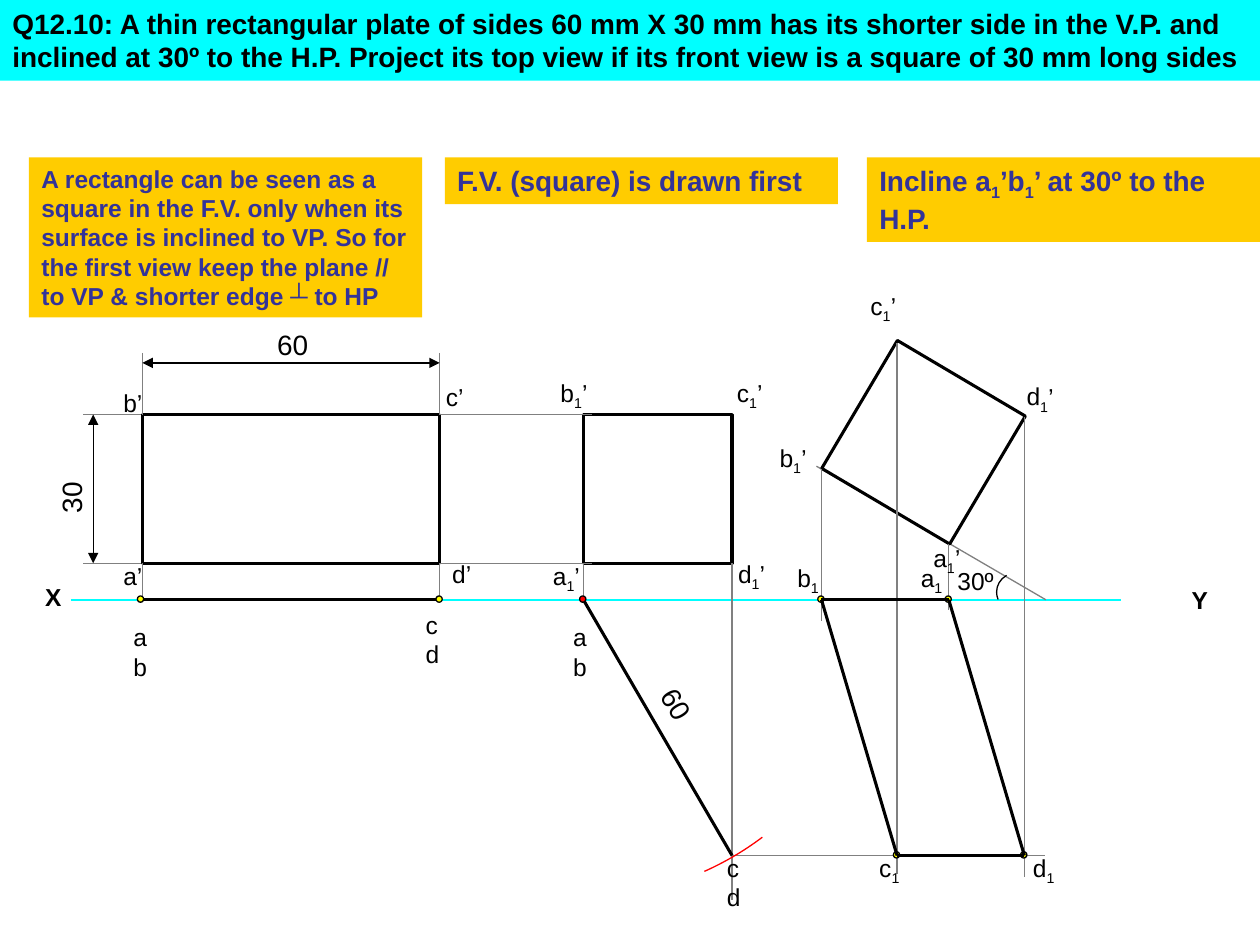
"""Draw the projection problem of a thin rectangular plate on one slide."""
from lxml.etree import SubElement as Sub
from pptx import Presentation
from pptx.dml.color import RGBColor
from pptx.enum.shapes import MSO_CONNECTOR as Link, MSO_SHAPE as Form
from pptx.enum.text import MSO_ANCHOR as Anchor, MSO_AUTO_SIZE as Auto
from pptx.enum.text import PP_ALIGN as Align
from pptx.oxml.ns import qn
from pptx.util import Inches, Pt

BLACK = RGBColor(0, 0, 0)
GREY = RGBColor(0x80, 0x80, 0x80)
CYAN = RGBColor(0, 0xFF, 0xFF)
GOLD = RGBColor(0xFF, 0xCC, 0)
NAVY = RGBColor(0x33, 0x33, 0x99)
YELLOW = RGBColor(0xFF, 0xFF, 0)
RED = RGBColor(0xFF, 0, 0)
THIN, MID, THICK = 0.75, 1, 1.75
FRAME = {
    "word_wrap": True, "auto_size": Auto.NONE, "vertical_anchor": Anchor.TOP,
    "margin_left": Inches(0.1), "margin_right": Inches(0.1),
    "margin_top": Inches(0.05), "margin_bottom": Inches(0.05),
}

deck = Presentation()
deck.slide_width, deck.slide_height = Inches(10), Inches(7.5)
shapes = deck.slides.add_slide(deck.slide_layouts[6]).shapes


def write(box, words, size, tint=BLACK, bold=False):
    """Fill a box with words; parts between underscores are subscripts."""
    for key, val in FRAME.items():
        setattr(box.text_frame, key, val)
    para = box.text_frame.paragraphs[0]
    para.alignment = Align.LEFT
    look = {"name": "Arial", "size": Pt(size), "bold": bold}
    for i, part in enumerate(words.split("_")):
        if not part:
            continue
        run = para.add_run()
        run.text = part
        for key, val in look.items():
            setattr(run.font, key, val)
        run.font.color.rgb = tint
        if i % 2:
            run._r.get_or_add_rPr().set("baseline", "-25000")


def draw(form, place, fill=None, tint=None, width=THIN):
    """Add a preset shape with the given fill and outline."""
    shape = shapes.add_shape(form, *map(Inches, place))
    shape.shadow.inherit = False
    if fill is None:
        shape.fill.background()
    else:
        shape.fill.solid()
        shape.fill.fore_color.rgb = fill
    if tint is None:
        shape.line.fill.background()
    else:
        shape.line.color.rgb = tint
        shape.line.width = Pt(width)
    return shape


banners = [
    ((0, 0, 10, 0.64), CYAN, BLACK, 16,
     "Q12.10: A thin rectangular plate of sides 60 mm X 30 mm has its shorter "
     "side in the V.P. and inclined at 30º to the H.P. Project its top view "
     "if its front view is a square of 30 mm long sides"),
    ((0.23, 1.25, 3.12, 1.27), GOLD, NAVY, 14,
     "A rectangle can be seen as a square in the F.V. only when its surface "
     "is inclined to VP. So for the first view keep the plane // to VP & "
     "shorter edge ┴ to HP"),
    ((3.53, 1.25, 3.12, 0.37), GOLD, NAVY, 16, "F.V. (square) is drawn first"),
    ((6.88, 1.25, 3.12, 0.67), GOLD, NAVY, 16,
     "Incline a_1_’b_1_’ at 30º to the H.P."),
]
for place, fill, tint, size, words in banners:
    write(draw(Form.RECTANGLE, place, fill), words, size, tint, True)

top, foot, axis, base = 3.29, 4.47, 4.76, 6.79
left, right, near, far = 1.13, 3.49, 4.63, 5.81
bx, cx, ax, dx = 6.52, 7.12, 7.53, 8.13
side = foot - top

under = [
    (0.56, axis, 8.9, axis, CYAN, MID),
    (8.3, axis, 6.48, 3.7, GREY, THIN),
    (left, axis, right, axis, BLACK, THICK),
]
guides = [(0.66, y, 1.12, y) for y in (top, foot)]
guides += [(right, y, 4.7, y) for y in (top, foot)]
guides += [(x, 2.8, x, top) for x in (left, right)]
guides += [(x, foot, x, axis) for x in (left, right, near)]
guides += [
    (far, foot, far, 7.14), (bx, 3.72, bx, 4.93), (cx, 2.72, cx, 6.94),
    (dx, 3.31, dx, 6.96), (ax, 4.32, ax, 4.84), (far, base, 8.29, base),
]
sizes = [(0.74, top, 0.74, foot), (left, 2.88, right, 2.88)]
edges = [
    (near, axis, far, base), (ax, axis, bx, axis), (bx, axis, cx, base),
    (dx, base, cx, base), (ax, axis, dx, base),
]
over = [(*ends, GREY, THIN) for ends in guides]
over += [(*ends, BLACK, THIN) for ends in sizes]
bold = [(*ends, BLACK, THICK) for ends in edges]
dots = [(x, axis, YELLOW) for x in (1.12, right, bx, ax)]
dots += [(x, base, YELLOW) for x in (cx, dx)]
plates = [(left, top, right - left, 0), (near, top, side, 0),
          (6.74, 2.92, side, 300.6)]

for lines, rects, marks in (
    (under, plates, []), (over, [], dots), (bold, [], [(near, axis, RED)])
):
    for *ends, tint, width in lines:
        line = shapes.add_connector(Link.STRAIGHT, *map(Inches, ends))
        line.line.color.rgb = tint
        line.line.width = Pt(width)
        if tuple(ends) in sizes:
            for end in ("a:headEnd", "a:tailEnd"):
                Sub(line.line._get_or_add_ln(), qn(end), type="triangle")
        Sub(line._element.spPr, qn("a:effectLst"))
    for x, y, width, turn in rects:
        place = (x, y, width, side)
        draw(Form.RECTANGLE, place, None, BLACK, THICK).rotation = turn
    for x, y, fill in marks:
        draw(Form.OVAL, (x - 0.03, y - 0.03, 0.05, 0.05), fill, BLACK)

arcs = [(near, axis, 2.36, 53, 66, RED), (8.06, 4.7, 0.15, 157, 242, BLACK)]
for x, y, reach, start, stop, tint in arcs:
    arc = draw(Form.ARC, (x - reach, y - reach, 2 * reach, 2 * reach), None, tint)
    for i, angle in enumerate((start, stop)):
        arc.adjustments[i] = angle * 0.6

labels = [
    (0.26, 4.57, 0.46, 0.34, 0, 14, "X"), (9.36, 4.59, 0.3, 0.34, 0, 14, "Y"),
    (0.29, 3.71, 0.55, 0.37, 270, 16, "30"),
    (2.1, 2.55, 0.55, 0.37, 0, 16, "60"),
    (5.12, 5.45, 0.55, 0.37, 59.1, 16, "60"),
    (7.5, 4.44, 0.55, 0.34, 0, 14, "30º"),
]
labels += [(x, y, 0.37, 0.57, 0, 14, words) for x, y, words in (
    (0.96, 4.89, "a b"), (3.28, 4.79, "c d"),
    (4.45, 4.89, "a b"), (5.67, 6.72, "c d"))]
labels += [(x, y, 0.42, 0.34, 0, 14, name + "’") for x, y, name in (
    (0.88, 4.4, "a"), (0.88, 3.03, "b"), (3.44, 2.98, "c"), (3.49, 4.39, "d"))]
labels += [(x, y, 0.57, 0.37, turn, 14, name + "_1_" + tick)
           for turn, tick, spots in (
    (0, "’", ((4.29, 4.4), (4.35, 2.95), (5.75, 2.95), (5.76, 4.39))),
    (0.6, "’", ((7.31, 4.26), (6.09, 3.47), (6.81, 2.26), (8.05, 2.98))),
    (0, "", ((7.21, 4.42), (6.23, 4.42), (6.88, 6.72), (8.1, 6.72))))
           for name, (x, y) in zip("abcd", spots)]
for *place, turn, size, words in labels:
    box = shapes.add_textbox(*map(Inches, place))
    box.rotation = turn
    write(box, words, size, BLACK, words in ("X", "Y"))

deck.save("out.pptx")
